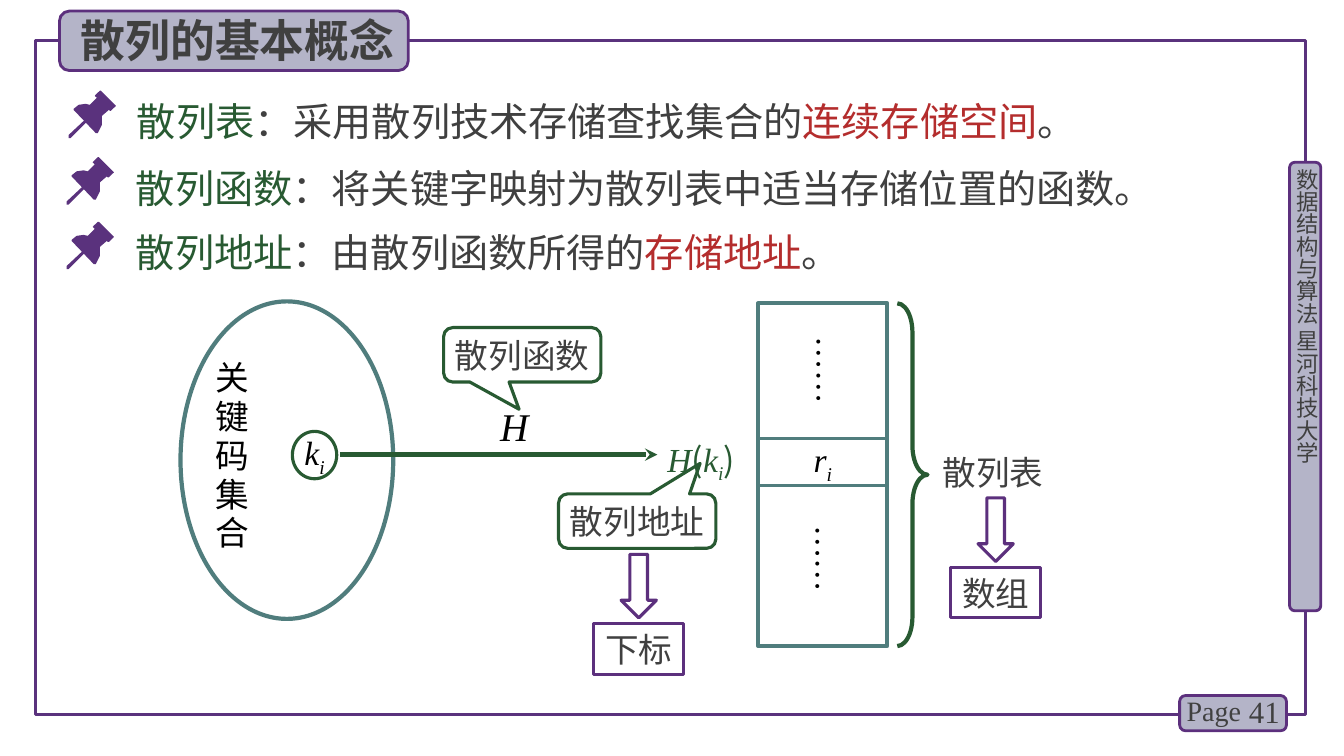
from lxml import etree
from pptx import Presentation
from pptx.dml.color import RGBColor
from pptx.enum.shapes import MSO_CONNECTOR, MSO_SHAPE
from pptx.enum.text import MSO_ANCHOR, PP_ALIGN
from pptx.oxml.ns import qn
from pptx.util import Inches, Pt

STRAIGHT = MSO_CONNECTOR.STRAIGHT
RECTANGLE, ROUNDED = MSO_SHAPE.RECTANGLE, MSO_SHAPE.ROUNDED_RECTANGLE
OVAL, BRACE = MSO_SHAPE.OVAL, MSO_SHAPE.RIGHT_BRACE
CALLOUT, ARROW = MSO_SHAPE.ROUNDED_RECTANGULAR_CALLOUT, MSO_SHAPE.RIGHT_ARROW
TOP, MIDDLE = MSO_ANCHOR.TOP, MSO_ANCHOR.MIDDLE
LEFT, CENTER, RIGHT = PP_ALIGN.LEFT, PP_ALIGN.CENTER, PP_ALIGN.RIGHT

CHINESE, LATIN = "Noto Sans CJK SC", "Times New Roman"
COLORS = {
    "frame": "5A327D", "border": "5C307D", "plate": "B4B4C8", "teal": "507D7D",
    "green": "285A32", "red": "B42D2D", "gray": "404040", "black": "000000",
}
PIN_HEAD = [
    (0.46, 0.14), (0.32, 0), (0.31, 0), (0.27, 0.04), (0.26, 0.05), (0.27, 0.06),
    (0.28, 0.07), (0.21, 0.14), (0.17, 0.13), (0.1, 0.14), (0.05, 0.18),
    (0.05, 0.19), (0.27, 0.42), (0.29, 0.42), (0.33, 0.34), (0.33, 0.25),
    (0.4, 0.19), (0.41, 0.2), (0.42, 0.2), (0.46, 0.16), (0.47, 0.15),
]
PIN_NEEDLE = [
    (0.01, 0.47), (0, 0.47), (0, 0.44), (0.16, 0.29),
    (0.18, 0.29), (0.18, 0.31), (0.02, 0.47),
]
DEFINITIONS = [
    (0.68, 0.9, 1.26, 0.83, [("散列表", "green"), ("：采用散列技术存储查找集合的", "gray"),
                             ("连续存储空间", "red"), ("。", "gray")]),
    (0.66, 1.56, 1.25, 1.49, [("散列函数", "green"),
                              ("：将关键字映射为散列表中适当存储位置的函数。", "gray")]),
    (0.66, 2.2, 1.25, 2.13, [("散列地址", "green"), ("：由散列函数所得的", "gray"),
                             ("存储地址", "red"), ("。", "gray")]),
]


def color(name):
    """Return the named colour."""
    return RGBColor.from_string(COLORS[name])


def assign(target, values):
    """Set each attribute of target from a dict."""
    for name, value in values.items():
        setattr(target, name, value)


class SlideBuilder:
    """Holds the style and the current slide."""

    def __init__(self, slide):
        """Keep the slide to draw on."""
        self.slide = slide
        self.shapes = slide.shapes

    def style(self, shape, fill, line, width):
        """Set fill and outline and drop the shadow."""
        shape.shadow.inherit = False
        if fill:
            shape.fill.solid()
            shape.fill.fore_color.rgb = color(fill)
        else:
            shape.fill.background()
        if line:
            shape.line.color.rgb = color(line)
            shape.line.width = Pt(width)
        else:
            shape.line.fill.background()

    def shape(self, kind, box, line, width=2.25, fill=None, adjustments=(), rotation=0):
        """Add a preset shape."""
        shape = self.shapes.add_shape(kind, *map(Inches, box))
        self.style(shape, fill, line, width)
        for index, value in enumerate(adjustments):
            shape.adjustments[index] = value
        shape.rotation = rotation
        return shape

    def line(self, start, end, name, width, arrowhead=None):
        """Add a straight connector, with an arrowhead if one is named."""
        connector = self.shapes.add_connector(STRAIGHT, *map(Inches, start + end))
        connector.line.color.rgb = color(name)
        connector.line.width = Pt(width)
        properties = connector.element.spPr
        if arrowhead:
            outline = properties.find(qn("a:ln"))
            etree.SubElement(outline, qn("a:tailEnd"), type=arrowhead)
        etree.SubElement(properties, qn("a:effectLst"))

    def polygon(self, left, top, points):
        """Add a filled outline whose points are offsets from left and top."""
        corners = [(Inches(left + x), Inches(top + y)) for x, y in points]
        builder = self.shapes.build_freeform(*corners[0], scale=1.0)
        builder.add_line_segments(corners[1:], close=True)
        self.style(builder.convert_to_shape(), "frame", None, 0)

    def label(self, shape, runs, size, font=CHINESE, align=LEFT, anchor=MIDDLE,
              insets=(0, 0, 0, 0), spacing=None, wrap=True, vertical=False, bold=False):
        """Put runs of text, colour and optional format into a shape."""
        left, top, right, bottom = map(Inches, insets)
        frame = shape.text_frame
        assign(frame, {
            "word_wrap": wrap, "vertical_anchor": anchor, "margin_left": left,
            "margin_top": top, "margin_right": right, "margin_bottom": bottom,
        })
        if vertical:
            shape.element.txBody.find(qn("a:bodyPr")).set("vert", "eaVert")
        paragraph = frame.paragraphs[0]
        assign(paragraph, {"alignment": align, "line_spacing": spacing})
        for text, name, *extra in runs:
            details = extra[0] if extra else {}
            typeface = details.get("font", font)
            run = paragraph.add_run()
            run.text = text
            assign(run.font, {"size": Pt(size), "bold": bold, "name": typeface,
                              "italic": details.get("italic", False)})
            run.font.color.rgb = color(name)
            properties = run._r.get_or_add_rPr()
            etree.SubElement(properties, qn("a:ea"), typeface=typeface)
            if "baseline" in details:
                properties.set("baseline", details["baseline"])

    def text(self, box, runs, size, **layout):
        """Add a text box."""
        self.label(self.shapes.add_textbox(*map(Inches, box)), runs, size, **layout)

    def title(self, plate, box, text):
        """Place the title placeholder over its plate."""
        title = self.shapes.title
        names = ("left", "top", "width", "height")
        assign(title, dict(zip(names, map(Inches, box))))
        plate.element.addnext(title.element)
        self.label(title, [(text, "gray")], 32, insets=(0.1, 0, 0.1, 0), bold=True)

    def callout(self, box, tail, text):
        """Add a speech callout with a centred label."""
        shape = self.shape(CALLOUT, box, "green", adjustments=(*tail, 0.167))
        self.label(shape, [(text, "gray")], 24, align=CENTER)

    def result(self, left, top, text):
        """Add a labelled box below a block arrow."""
        shape = self.shape(RECTANGLE, (left, top, 0.89, 0.5), "border")
        self.label(shape, [(text, "gray")], 24, align=CENTER)
        self.shape(ARROW, (left + 0.13, top - 0.55, 0.63, 0.35), "border", rotation=90)


def subscripted(letter, name):
    """Return the runs of an italic letter with subscript i."""
    return [(letter, name, {"font": LATIN, "italic": True}),
            ("i", name, {"font": LATIN, "italic": True, "baseline": "-25000"})]


def main():
    """Build and save the slide."""
    presentation = Presentation()
    presentation.slide_width, presentation.slide_height = Inches(13.33), Inches(7.5)
    builder = SlideBuilder(presentation.slides.add_slide(presentation.slide_layouts[5]))

    builder.shape(RECTANGLE, (0.35, 0.4, 12.6, 6.69), "frame")
    builder.shape(ROUNDED, (12.79, 1.61, 0.31, 4.45), "border", 2, "plate")
    builder.text((12.83, 1.67, 0.27, 4.49), [("数据结构与算法 星河科技大学", "gray")], 16,
                 vertical=True)
    builder.shape(ROUNDED, (11.7, 6.9, 1.06, 0.35), "border", 2, "plate")
    builder.text((12.2, 6.86, 0.59, 0.4), [("41", "gray")], 22, font=LATIN,
                 align=RIGHT, insets=(0.1, 0, 0.1, 0))
    builder.text((11.67, 6.83, 0.78, 0.44), [("Page", "gray")], 20, font=LATIN,
                 insets=(0.1, 0, 0.1, 0))
    plate = builder.shape(ROUNDED, (0.59, 0.11, 3.46, 0.59), "border", 2, "plate")
    builder.title(plate, (0.7, 0.07, 3.44, 0.64), "散列的基本概念")

    narrow = {"anchor": TOP, "insets": (0.02, 0, 0.02, 0), "spacing": 0.96}
    builder.text((2.12, 3.56, 0.34, 1.92), [("关键码集合", "black")], 24,
                 **{**narrow, "spacing": Pt(27.7)})
    builder.shape(OVAL, (1.79, 2.99, 2.11, 3.15), "teal", 3)

    builder.shape(RECTANGLE, (7.52, 3.01, 1.28, 3.4), "teal", 3)
    for y in (4.35, 4.82):
        builder.line((7.52, y), (8.8, y), "teal", 2.25)
    builder.text((7.52, 4.35, 1.28, 0.47), subscripted("r", "black"), 24, align=CENTER)
    for left, top in ((8.06, 3.3), (8.05, 5.17)):
        builder.text((left, top, 0.37, 0.9), [("……", "black")], 24, font=LATIN,
                     vertical=True, **{**narrow, "insets": (0.02, 0.04, 0.02, 0)})

    italic = {"font": LATIN, "italic": True}
    address = [("H", "green", italic), ("(", "green"), *subscripted("k", "green"),
               (")", "green")]
    builder.text((6.6, 4.35, 0.81, 0.28), address, 24, **narrow)
    builder.text((4.94, 4.02, 0.74, 0.37), [("H", "black", italic)], 28, **narrow)
    builder.line((3.37, 4.51), (6.52, 4.51), "green", 3, "stealth")
    key = builder.shape(OVAL, (2.9, 4.28, 0.44, 0.47), "green")
    builder.label(key, subscripted("k", "black"), 24, align=CENTER, wrap=False)

    for pin_left, pin_top, left, top, runs in DEFINITIONS:
        builder.text((left, top, 11.22, 0.66), runs, 28, anchor=TOP,
                     insets=(0.1, 0.05, 0.1, 0.05), spacing=Pt(40))
        for outline in (PIN_HEAD, PIN_NEEDLE):
            builder.polygon(pin_left, pin_top, outline)

    builder.shape(BRACE, (8.9, 3.01, 0.3, 3.4), "green", 3, adjustments=(0.959, 0.5))
    builder.text((9.25, 4.43, 1.21, 0.5), [("散列表", "gray")], 24,
                 insets=(0.1, 0, 0.1, 0))
    builder.result(9.43, 5.63, "数组")
    builder.callout((4.4, 3.25, 1.56, 0.54), (-0.02, 1), "散列函数")
    builder.callout((5.54, 4.9, 1.56, 0.54), (0.4, -1.06), "散列地址")
    builder.result(5.89, 6.19, "下标")
    presentation.save("out.pptx")


if __name__ == "__main__":
    main()
